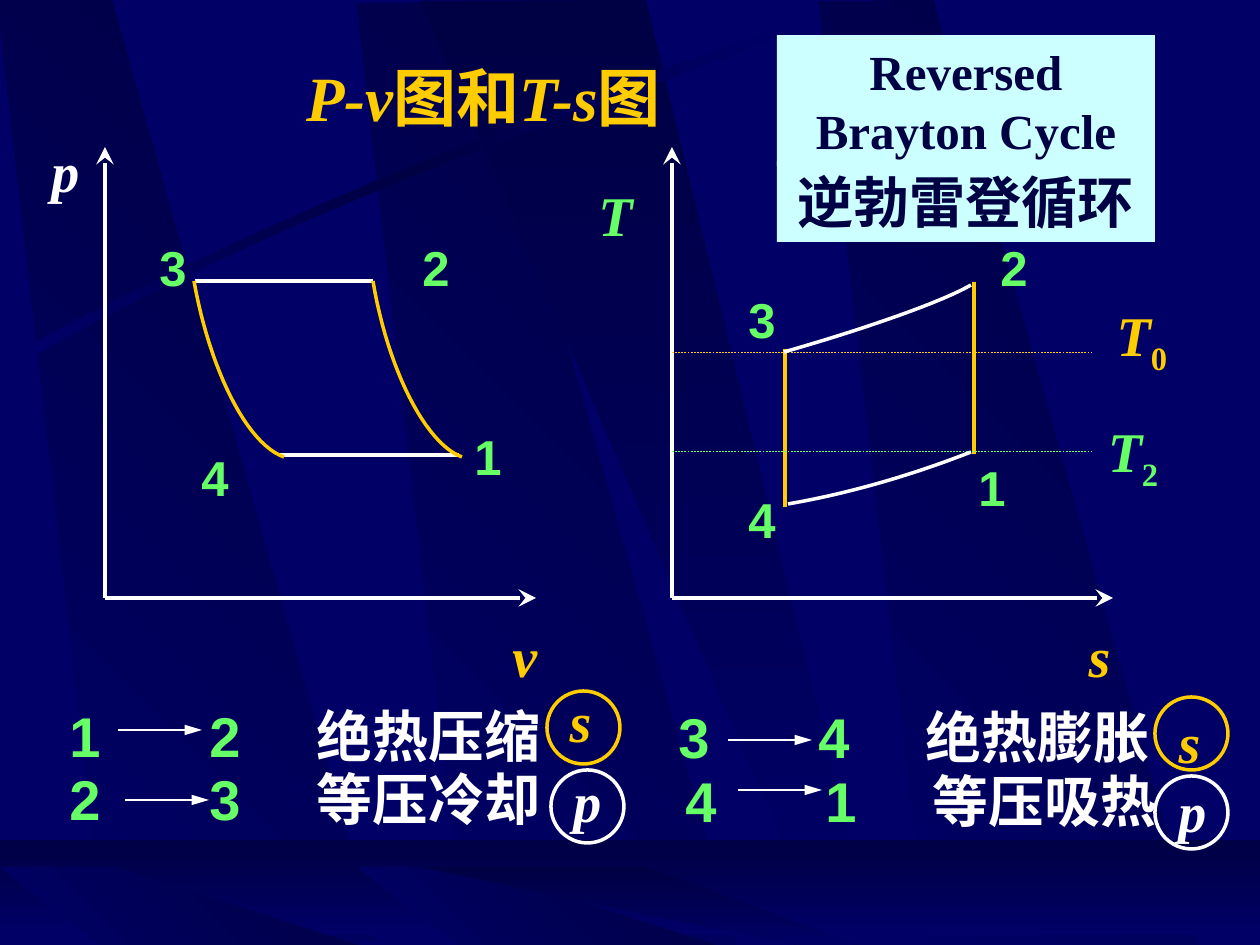
from lxml.etree import SubElement
from pptx import Presentation
from pptx.dml.color import RGBColor
from pptx.enum.dml import MSO_LINE
from pptx.enum.shapes import MSO_CONNECTOR, MSO_SHAPE
from pptx.enum.text import MSO_ANCHOR, PP_ALIGN
from pptx.oxml.ns import qn
from pptx.util import Pt

SCALE = 914400 / 126
COLORS = {"blue": "000066", "navy": "000044", "gold": "FFCC00",
          "green": "66FF66", "white": "FFFFFF", "ice": "CCFFFF"}
SERIF, SANS, TITLE_CJK = "Times New Roman", "Arial", "Montserrat"

BAND = [(108, 943), (380, 945), (114, 0), (0, 2)]
FLOOR_BAND = [(108, 84), (380, 85), (115, 0), (0, 0)]
BEAM = [(420, 1), (829, 946), (874, 946), (646, 0)]
FLOOR_BEAM = [(420, 867), (829, 951), (874, 951), (646, 867)]
SWOOSH_TOP = [(25, 347), (358, 169), (660, 74), (789, 23)]
SWOOSH_BOTTOM = [(793, 30), (665, 87), (320, 190), (29, 359)]

TITLE = [("P-v", SERIF, True), ("图和", TITLE_CJK, False),
         ("T-s", SERIF, True), ("图", TITLE_CJK, False)]
PROCESSES = [
    (57, 695, "1", "2", "绝热压缩", (118, 730)),
    (57, 758, "2", "3", "等压冷却", (125, 800)),
    (666, 696, "3", "4", "绝热膨胀", (728, 740)),
    (673, 760, "4", "1", "等压吸热", (738, 790)),
]
AXES = [((105, 598), (105, 147)), ((105, 598), (536, 598)),
        ((672, 598), (672, 147)), ((672, 598), (1113, 598))]
STRAIGHT = [
    ((195, 281), (373, 281), "white"), ((280, 455), (459, 455), "white"),
    ((785, 349), (785, 507), "gold"), ((974, 282), (974, 454), "gold"),
]
LEVELS = [(352, "gold"), (451, "green")]
CURVES = [
    ([(284, 457), (247, 444), (210, 370), (194, 281)], "gold"),
    ([(462, 457), (426, 444), (388, 370), (373, 281)], "gold"),
    ([(784, 352), (868, 328), (944, 301), (971, 285)], "white"),
    ([(788, 504), (852, 493), (915, 474), (971, 452)], "white"),
]
STATES = [("3", 147, 231), ("2", 410, 231), ("1", 462, 420), ("4", 189, 441),
          ("1", 966, 451), ("2", 988, 231), ("3", 736, 283), ("4", 736, 483)]
SYMBOLS = [
    ("p", "", 32, 130, 67, "white"), ("v", "", 500, 615, 50, "gold"),
    ("T", "", 586, 174, 59, "green"), ("s", "", 1076, 615, 47, "gold"),
    ("T", "2", 1095, 410, 76, "green"), ("T", "0", 1104, 294, 76, "gold"),
    ("s", "", 557, 680, 47, "gold"), ("s", "", 1166, 701, 47, "gold"),
    ("p", "", 561, 760, 53, "white"), ("p", "", 1166, 770, 53, "white"),
]
RINGS = [(547, 691, "gold"), (1155, 697, "gold"),
         (551, 770, "white"), (1155, 776, "white")]
NAMES = [("逆勃雷登循环", SANS, 32, 161, 81),
         ("Reversed Brayton Cycle", SERIF, 28, 35, 131)]


def px(n):
    return round(n * SCALE)


def rgb(name):
    return RGBColor.from_string(COLORS[name])


def bezier(ctrl, steps=24):
    weights = (1, 3, 3, 1)
    return [tuple(sum(w * (1 - i / steps) ** (3 - k) * (i / steps) ** k * c[axis]
                      for k, (w, c) in enumerate(zip(weights, ctrl)))
                  for axis in (0, 1))
            for i in range(steps + 1)]


def outline(s, points, closed):
    pts = [(px(x), px(y)) for x, y in points]
    builder = s.shapes.build_freeform(*pts[0], scale=1.0)
    builder.add_line_segments(pts[1:], close=closed)
    sp = builder.convert_to_shape()
    sp.shadow.inherit = False
    sp.fill.background()
    return sp


def gradient(sp, names, angle):
    sp.line.fill.background()
    sp.fill.background()
    grad = sp._element.spPr.find(qn("a:noFill"))
    grad.tag = qn("a:gradFill")
    stops = SubElement(grad, qn("a:gsLst"))
    for i, name in enumerate(names):
        stop = SubElement(stops, qn("a:gs"), pos=str(100000 * i // (len(names) - 1)))
        SubElement(stop, qn("a:srgbClr"), val=COLORS[name])
    SubElement(grad, qn("a:lin"), ang=str(angle * 60000), scaled="0")


def shape(s, kind, x, y, w, h):
    sp = s.shapes.add_shape(kind, px(x), px(y), px(w), px(h))
    sp.shadow.inherit = False
    return sp


def connector(s, start, end, color, width, arrow=None, arrow_width="med"):
    c = s.shapes.add_connector(MSO_CONNECTOR.STRAIGHT,
                               *(px(n) for n in (*start, *end)))
    c.line.color.rgb = rgb(color)
    c.line.width = Pt(width)
    if arrow:
        SubElement(c.line._get_or_add_ln(), qn("a:tailEnd"),
                   type=arrow, w=arrow_width, len="lg")
    SubElement(c._element.spPr, qn("a:effectLst"))
    return c


def add_run(p, text, font, size, color, italic=False):
    r = p.add_run()
    r.text = text
    r.font.name, r.font.size = font, Pt(size)
    r.font.bold, r.font.italic = True, italic
    r.font.color.rgb = rgb(color)
    return r


def textbox(s, x, y, w, h, align=PP_ALIGN.CENTER, wrap=False):
    tf = s.shapes.add_textbox(px(x), px(y), px(w), px(h)).text_frame
    tf.word_wrap = wrap
    p = tf.paragraphs[0]
    p.alignment = align
    return p


def draw_backdrop(s):
    s.background.fill.solid()
    s.background.fill.fore_color.rgb = rgb("blue")
    up, down = ["blue", "navy"], ["navy", "blue"]

    def shifted(points, dx, dy):
        return [(x + dx, y + dy) for x, y in points]

    for dx, dy in [(357, 2), (-3, -3), (819, 0)]:
        gradient(outline(s, shifted(BAND, dx, dy), True), up, 315)
    gradient(outline(s, BEAM, True), down, 90)
    gradient(outline(s, bezier(SWOOSH_TOP) + bezier(SWOOSH_BOTTOM), True),
             up + ["blue"], 0)
    gradient(shape(s, MSO_SHAPE.RECTANGLE, 0, 840, 1260, 95), down, 90)
    for dx in (357, 0):
        gradient(outline(s, shifted(FLOOR_BAND, dx, 867), True), up, 315)
    gradient(outline(s, FLOOR_BEAM, True), down, 90)


def draw_title(s):
    title = s.shapes.title
    s.shapes._spTree.append(title._element)
    title.left, title.top, title.width, title.height = map(px, (95, 52, 777, 88))
    tf = title.text_frame
    tf.vertical_anchor = MSO_ANCHOR.MIDDLE
    p = tf.paragraphs[0]
    p.alignment = PP_ALIGN.CENTER
    for text, font, italic in TITLE:
        add_run(p, text, font, 36, "gold", italic)


def draw_processes(s):
    for x, y, start, end, label, (ax, ay) in PROCESSES:
        p = textbox(s, x, y, 520, 81, PP_ALIGN.LEFT, wrap=True)
        tabs = SubElement(p._p.get_or_add_pPr(), qn("a:tabLst"))
        for pos in (140, 247):
            SubElement(tabs, qn("a:tab"), pos=str(px(pos)), algn="l")
        add_run(p, f"{start}\t{end}\t", SANS, 32, "green")
        add_run(p, label, SANS, 32, "white")
        connector(s, (ax, ay), (ax + 84, ay), "white", 1.5, "triangle")


def draw_diagrams(s):
    for start, end in AXES:
        connector(s, start, end, "white", 2, "stealth", "lg")
    for start, end, color in STRAIGHT:
        connector(s, start, end, color, 2)
    for y, color in LEVELS:
        c = connector(s, (672, y), (1092, y), color, 0.25)
        c.line.dash_style = MSO_LINE.DASH
    for ctrl, color in CURVES:
        sp = outline(s, bezier(ctrl), False)
        sp.line.color.rgb = rgb(color)
        sp.line.width = Pt(2)
    for text, x, y in STATES:
        add_run(textbox(s, x, y, 52, 72), text, SANS, 28, "green")
    for text, sub, x, y, w, color in SYMBOLS:
        p = textbox(s, x, y, w, 81)
        add_run(p, text, SERIF, 32, color, True)
        if sub:
            r = add_run(p, sub, SERIF, 32, color)
            r._r.get_or_add_rPr().set("baseline", "-25000")
    for x, y, color in RINGS:
        sp = shape(s, MSO_SHAPE.OVAL, x, y, 73, 73)
        sp.fill.background()
        sp.line.color.rgb = rgb(color)
        sp.line.width = Pt(2)


def draw_names(s):
    for text, font, size, y, h in NAMES:
        sp = shape(s, MSO_SHAPE.RECTANGLE, 777, y, 378, h)
        sp.fill.solid()
        sp.fill.fore_color.rgb = rgb("ice")
        sp.line.fill.background()
        tf = sp.text_frame
        tf.word_wrap = True
        tf.vertical_anchor = MSO_ANCHOR.TOP
        p = tf.paragraphs[0]
        p.alignment = PP_ALIGN.CENTER
        add_run(p, text, font, size, "navy")


def main():
    """Build the reversed Brayton cycle slide."""
    prs = Presentation()
    prs.slide_width, prs.slide_height = px(1260), px(945)
    s = prs.slides.add_slide(prs.slide_layouts[5])
    for draw in (draw_backdrop, draw_title, draw_processes, draw_diagrams, draw_names):
        draw(s)
    prs.save("out.pptx")


if __name__ == "__main__":
    main()
